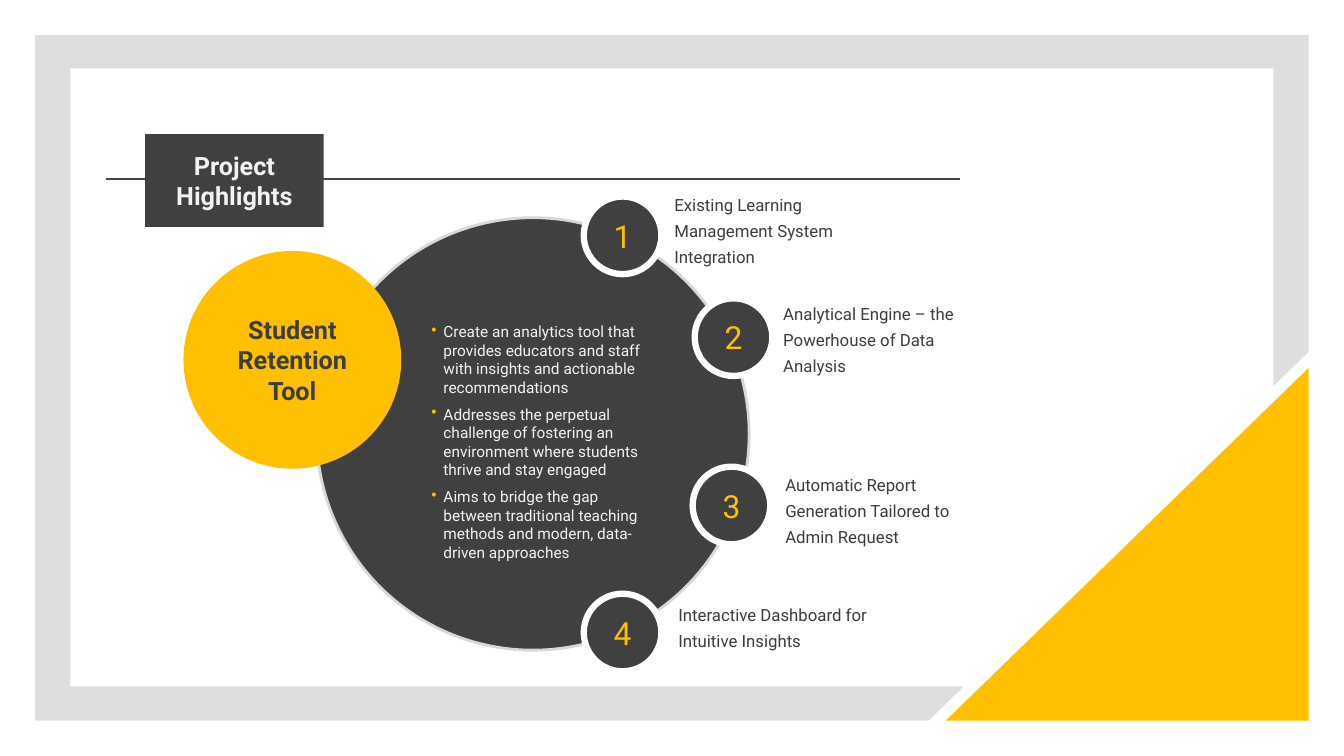
from lxml import etree
from pptx import Presentation
from pptx.dml.color import RGBColor
from pptx.enum.shapes import MSO_CONNECTOR, MSO_SHAPE
from pptx.enum.text import MSO_ANCHOR, MSO_AUTO_SIZE, PP_ALIGN
from pptx.oxml.ns import qn
from pptx.util import Inches, Pt

OVAL, RIGHT_TRIANGLE = MSO_SHAPE.OVAL, MSO_SHAPE.RIGHT_TRIANGLE
STRAIGHT = MSO_CONNECTOR.STRAIGHT
MIDDLE, TOP = MSO_ANCHOR.MIDDLE, MSO_ANCHOR.TOP
CENTER, LEFT = PP_ALIGN.CENTER, PP_ALIGN.LEFT
NO_AUTOFIT = MSO_AUTO_SIZE.NONE

YELLOW = RGBColor(0xFF, 0xC0, 0x00)
CHARCOAL = RGBColor(0x40, 0x40, 0x40)
TEXT_DARK = RGBColor(0x3C, 0x3D, 0x3D)
TEXT_LIGHT = RGBColor(0xF2, 0xF2, 0xF2)
GRAY = RGBColor(0x7F, 0x7F, 0x7F)
RING_GRAY = RGBColor(0xD8, 0xD8, 0xD8)
RULE = RGBColor(0x41, 0x44, 0x55)
WHITE = RGBColor(0xFF, 0xFF, 0xFF)

presentation = Presentation()
presentation.slide_width, presentation.slide_height = Inches(13.33), Inches(7.5)
slide = presentation.slides.add_slide(presentation.slide_layouts[5])
shapes = slide.shapes


def add_preset(kind, left, top, width, height, fill, line=None, line_width=0):
    shape = shapes.add_shape(kind, Inches(left), Inches(top), Inches(width), Inches(height))
    shape.shadow.inherit = False
    shape.fill.solid()
    shape.fill.fore_color.rgb = fill
    if line is None:
        shape.line.fill.background()
    else:
        shape.line.color.rgb = line
        shape.line.width = Pt(line_width)
    return shape


def write(shape, text, size, color, bold=False, align=CENTER, anchor=MIDDLE, spacing=1.0):
    frame = shape.text_frame
    frame.word_wrap = True
    frame.auto_size = NO_AUTOFIT
    frame.vertical_anchor = anchor
    paragraph = frame.paragraphs[0]
    if paragraph.runs:
        paragraph = frame.add_paragraph()
    paragraph.alignment = align
    paragraph.line_spacing = spacing
    paragraph.space_after = Pt(6)
    run = paragraph.add_run()
    run.text = text
    run.font.name = "Roboto"
    run.font.size = Pt(size)
    run.font.bold = bold
    run.font.color.rgb = color
    return paragraph


# Translucent frame, cut off at the lower right corner
frame_points = [(12.98, 0.35), (12.98, 3.49), (12.63, 3.83), (12.63, 0.68), (0.7, 0.68),
                (0.7, 6.81), (9.56, 6.81), (9.21, 7.15), (0.35, 7.15)]
builder = shapes.build_freeform(Inches(0.35), Inches(0.35))
builder.add_line_segments([(Inches(x), Inches(y)) for x, y in frame_points], close=True)
border = builder.convert_to_shape()
border.shadow.inherit = False
border.fill.solid()
border.fill.fore_color.rgb = GRAY
border.line.fill.background()
border_color = border.element.spPr.find(qn("a:solidFill"))[0]
etree.SubElement(border_color, qn("a:alpha"), val="25000")

# Corner triangle
corner = add_preset(RIGHT_TRIANGLE, 9.38, 3.65, 3.6, 3.5, YELLOW)
corner.element.spPr.find(qn("a:xfrm")).set("flipH", "1")

# Rule behind the title
rule = shapes.add_connector(STRAIGHT, Inches(1.05), Inches(1.78), Inches(9.52), Inches(1.78))
rule.line.color.rgb = RULE
rule.line.width = Pt(1.5)
etree.SubElement(rule.element.spPr, qn("a:effectLst"))

# Title placeholder as a rounded badge, in front of the rule
title = shapes.title
title.left, title.top = Inches(1.44), Inches(1.33)
title.width, title.height = Inches(1.77), Inches(0.92)
geometry = etree.SubElement(title.element.spPr, qn("a:prstGeom"), prst="roundRect")
etree.SubElement(geometry, qn("a:avLst"))
title.fill.solid()
title.fill.fore_color.rgb = CHARCOAL
write(title, "Project Highlights", 18, TEXT_LIGHT, bold=True)
title.text_frame.margin_left = title.text_frame.margin_right = Inches(0.13)
title.text_frame.margin_top = title.text_frame.margin_bottom = Inches(0.07)
rule.element.addnext(title.element)

# Large circle and project name
add_preset(OVAL, 3.14, 2.16, 4.29, 4.29, CHARCOAL, RING_GRAY, 2)
project = add_preset(OVAL, 1.82, 2.49, 2.16, 2.16, YELLOW)
write(project, "Student Retention Tool", 18, TEXT_DARK, bold=True)

# Project goals
goals = [
    "Create an analytics tool that provides educators and staff with insights and "
    "actionable recommendations",
    "Addresses the perpetual challenge of fostering an environment where students "
    "thrive and stay engaged",
    "Aims to bridge the gap between traditional teaching methods and modern, "
    "data-driven approaches",
]
goal_box = shapes.add_textbox(Inches(4.18), Inches(3.15), Inches(2.46), Inches(3.2))
for index, goal in enumerate(goals):
    paragraph = write(goal_box, goal, 11, TEXT_LIGHT, align=LEFT, anchor=TOP)
    paragraph.space_before = Pt(6 if index else 0)
    paragraph.space_after = Pt(6 if index == len(goals) - 1 else 0)
    properties = paragraph._p.get_or_add_pPr()
    properties.set("marL", str(Inches(0.12)))
    properties.set("indent", str(-Inches(0.12)))
    bullet_color = etree.SubElement(properties, qn("a:buClr"))
    etree.SubElement(bullet_color, qn("a:srgbClr"), val=str(YELLOW))
    etree.SubElement(properties, qn("a:buChar"), char="•")

# Numbered highlights: circle left, top; caption left, top, width, height; caption
highlights = [
    (5.79, 1.95, 6.59, 1.82, 2.38, 0.83, "Existing Learning Management System Integration"),
    (6.89, 2.96, 7.67, 2.9, 2.24, 0.83, "Analytical Engine – the Powerhouse of Data Analysis"),
    (6.87, 4.63, 7.69, 4.6, 2.24, 0.83, "Automatic Report Generation Tailored to Admin Request"),
    (5.79, 5.89, 6.63, 5.89, 2.24, 0.77, "Interactive Dashboard for Intuitive Insights"),
]
for number, (circle_left, circle_top, left, top, width, height, text) in enumerate(highlights, 1):
    circle = add_preset(OVAL, circle_left, circle_top, 0.77, 0.77, CHARCOAL, WHITE, 4.5)
    write(circle, str(number), 22.7, YELLOW)
    caption = shapes.add_textbox(Inches(left), Inches(top), Inches(width), Inches(height))
    write(caption, text, 12, TEXT_DARK, align=LEFT, anchor=TOP, spacing=1.3)

presentation.save("out.pptx")
